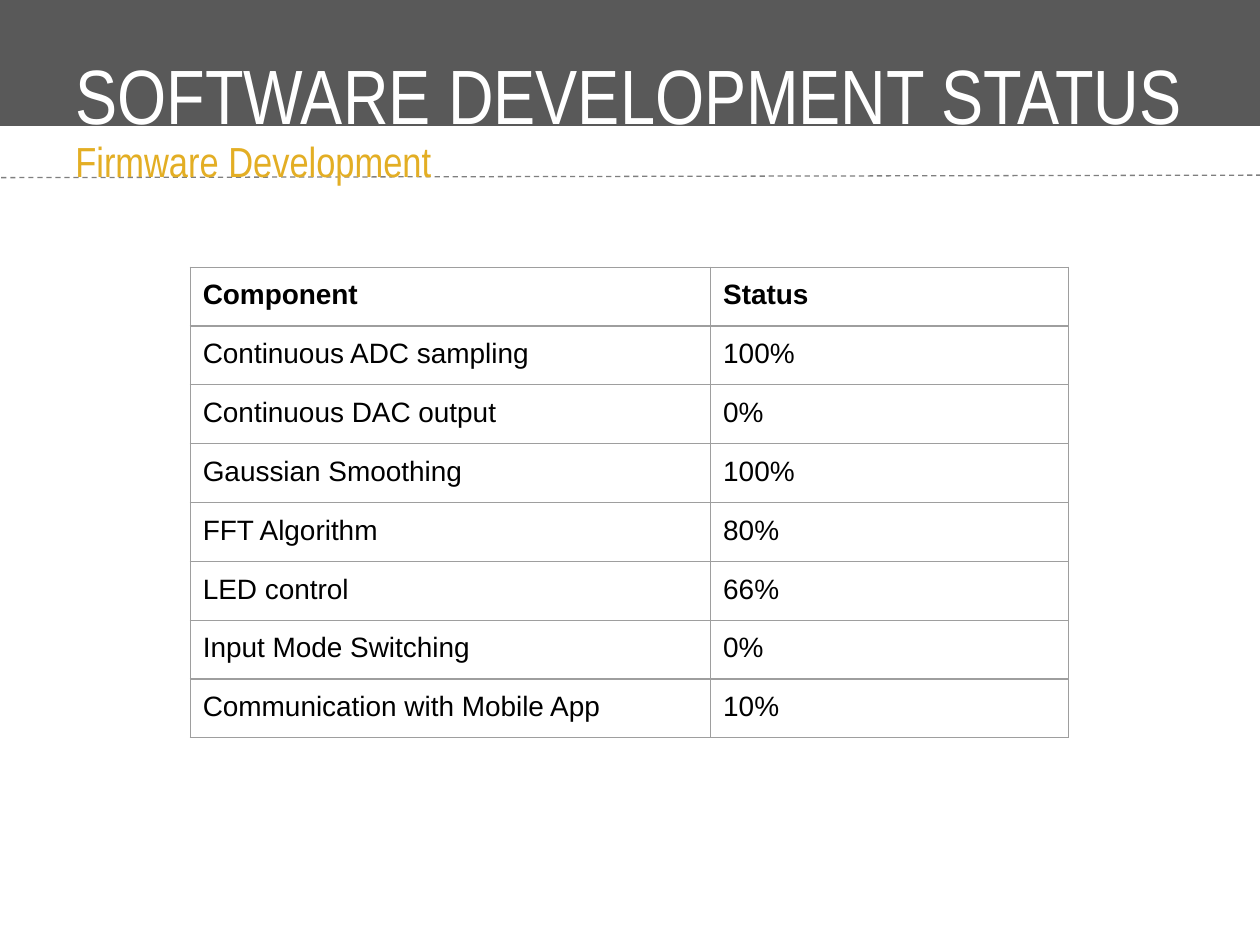
from dataclasses import dataclass

from lxml.etree import SubElement
from pptx import Presentation
from pptx.dml.color import RGBColor as Rgb
from pptx.enum.dml import MSO_LINE_DASH_STYLE as Dash
from pptx.enum.shapes import MSO_CONNECTOR as Connector, MSO_SHAPE as Shape
from pptx.enum.text import MSO_ANCHOR as Anchor
from pptx.oxml.ns import qn
from pptx.util import Inches, Pt


@dataclass(frozen=True)
class Theme:
    banner: str = "595959"
    rule: str = "7F7F7F"
    accent: str = "E3AE24"
    border: str = "9E9E9E"
    paper: str = "FFFFFF"
    ink: str = "000000"
    heading_font: str = "Arial Narrow"
    table_font: str = "Arial"
    title_size: int = 44
    subtitle_size: int = 24
    table_size: int = 16
    line_width: float = 0.75


class StatusPage:
    def __init__(self, deck, theme):
        self.theme = theme
        self.page = deck.slides.add_slide(deck.slide_layouts[6])

    def banner(self, left, top, width, height):
        box = self.page.shapes.add_shape(
            Shape.RECTANGLE, Inches(left), Inches(top), Inches(width), Inches(height))
        box.shadow.inherit = False
        box.fill.solid()
        box.fill.fore_color.rgb = Rgb.from_string(self.theme.banner)
        box.line.fill.background()

    def dashed_rule(self, x1, y1, x2, y2):
        rule = self.page.shapes.add_connector(
            Connector.STRAIGHT, Inches(x1), Inches(y1), Inches(x2), Inches(y2))
        rule.line.color.rgb = Rgb.from_string(self.theme.rule)
        rule.line.width = Pt(self.theme.line_width)
        rule.line.dash_style = Dash.DASH
        SubElement(rule.element.spPr, qn("a:effectLst"))

    def style(self, para, font, size, color, bold=False):
        para.font.name = font
        para.font.size = Pt(size)
        para.font.bold = bold
        para.font.color.rgb = Rgb.from_string(color)

    def heading(self, text, left, top, width, height, size, color, anchor, before=0):
        box = self.page.shapes.add_textbox(
            Inches(left), Inches(top), Inches(width), Inches(height))
        frame = box.text_frame
        frame.word_wrap = True
        frame.vertical_anchor = anchor
        para = frame.paragraphs[0]
        para.text = text
        para.space_before = Pt(before)
        self.style(para, self.theme.heading_font, size, color)

    def cell_borders(self, cell):
        properties = cell._tc.get_or_add_tcPr()
        for side in ("lnL", "lnR", "lnT", "lnB"):
            line = SubElement(properties, qn(f"a:{side}"), w=str(Pt(self.theme.line_width)))
            fill = SubElement(line, qn("a:solidFill"))
            SubElement(fill, qn("a:srgbClr"), val=self.theme.border)

    def table(self, rows, left, top, widths, height):
        theme = self.theme
        table = self.page.shapes.add_table(
            len(rows), len(widths), Inches(left), Inches(top),
            Inches(sum(widths)), Inches(height)).table
        table.horz_banding = False
        for column, width in zip(table.columns, widths):
            column.width = Inches(width)
        for r, values in enumerate(rows):
            for c, value in enumerate(values):
                cell = table.cell(r, c)
                cell.margin_left = cell.margin_right = Inches(0.1)
                cell.margin_top = cell.margin_bottom = Inches(0.1)
                self.cell_borders(cell)
                cell.fill.solid()
                cell.fill.fore_color.rgb = Rgb.from_string(theme.paper)
                cell.text = value
                self.style(cell.text_frame.paragraphs[0], theme.table_font,
                           theme.table_size, theme.ink, bold=r == 0)


STATUS_ROWS = [
    ("Component", "Status"),
    ("Continuous ADC sampling", "100%"),
    ("Continuous DAC output", "0%"),
    ("Gaussian Smoothing", "100%"),
    ("FFT Algorithm", "80%"),
    ("LED control", "66%"),
    ("Input Mode Switching", "0%"),
    ("Communication with Mobile App", "10%"),
]


def main():
    deck = Presentation()
    deck.slide_width, deck.slide_height = Inches(10), Inches(7.5)
    theme = Theme()
    page = StatusPage(deck, theme)

    # Banner and dashed rule
    page.banner(0, 0, 10, 1)
    page.dashed_rule(0.01, 1.41, 10, 1.39)

    # Title and subtitle
    page.heading("SOFTWARE DEVELOPMENT STATUS", 0.5, 0.34, 9.01, 0.82,
                 theme.title_size, theme.paper, Anchor.BOTTOM)
    page.heading("Firmware Development", 0.5, 1.03, 9, 0.48,
                 theme.subtitle_size, theme.accent, Anchor.TOP, before=3.6)

    # Component status table
    page.table(STATUS_ROWS, 1.51, 2.12, (4.13, 2.84), 3.57)

    deck.save("out.pptx")


if __name__ == "__main__":
    main()
